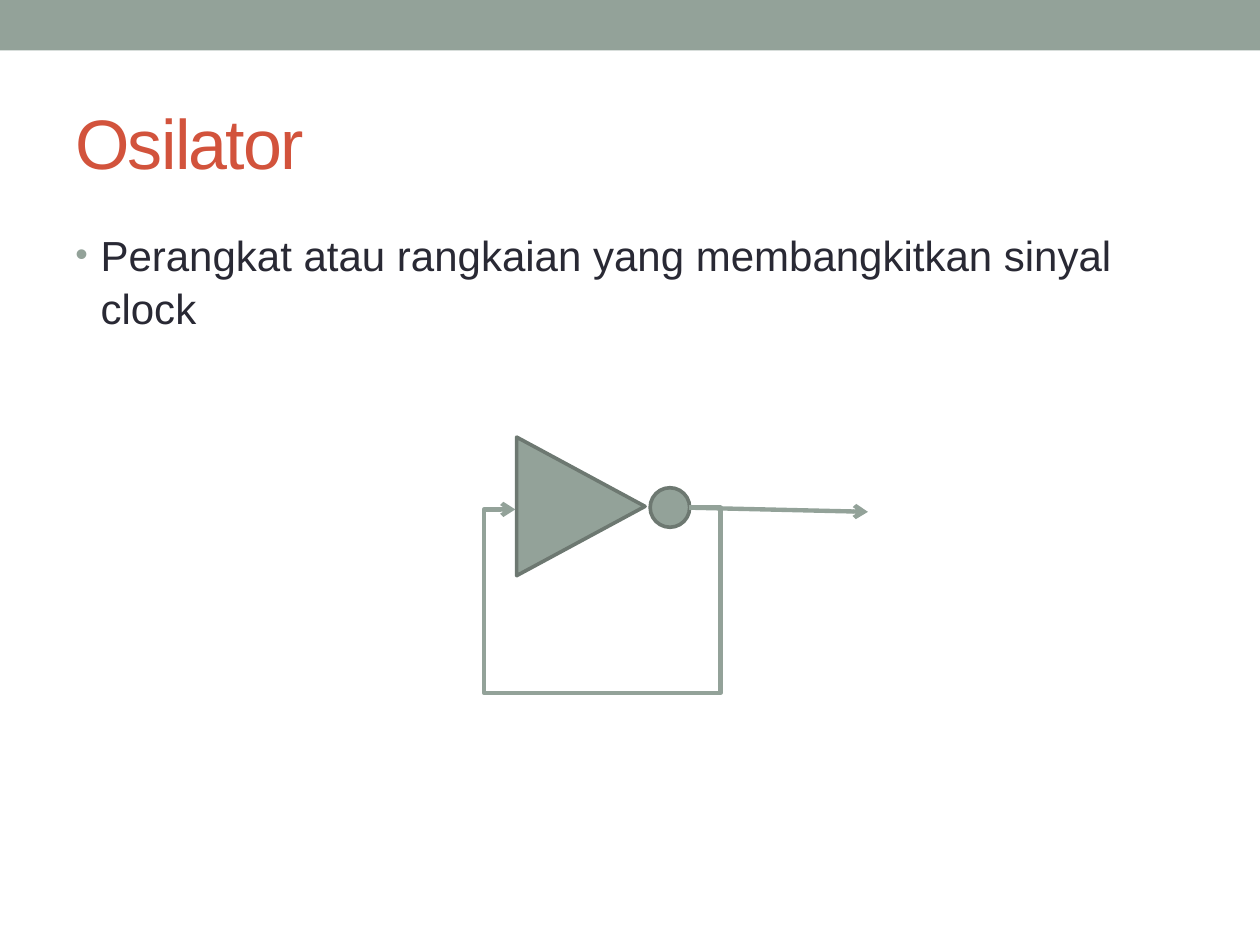
"""Build the oscillator slide: a NOT gate whose output feeds back to its input."""
from pptx import Presentation
from pptx.dml.color import RGBColor
from pptx.enum import shapes, text
from pptx.oxml import parse_xml
from pptx.oxml.ns import nsdecls
from pptx.util import Pt

SAGE, SAGE_DARK, RUST, INK = "93A299", "6D7871", "D2533C", "292934"
FONT = "Arial"
TITLE = ("Osilator", (36, 41.8, 648, 77.8), 40, RUST)
BODY = ("Perangkat atau rangkaian yang membangkitkan sinyal clock",
        (36, 126, 648, 126.7), 24, INK)
BAND = (0, 0, 720, 28.8)
GATE = (292.3, 252.7, 79.2, 73.4)
BUBBLE = (371.5, 278.7, 22.6, 22.6)
GATE_OUTPUT = (393.8, 290.1)
GATE_INPUT = (294.5, 291.1)
CLOCK_OUT = (496, 292.5)
FEEDBACK_BENDS = (-18100, 10660500, 118100)


def color(value):
    return RGBColor.from_string(value)


def add_solid(slide, preset, box, outline=None):
    solid = slide.shapes.add_shape(preset, *map(Pt, box))
    solid.shadow.inherit = False
    solid.fill.solid()
    solid.fill.fore_color.rgb = color(SAGE)
    if outline:
        solid.line.color.rgb = color(outline)
        solid.line.width = Pt(2.08)
    else:
        solid.line.fill.background()
    return solid


def add_wire(slide, route, start, end):
    wire = slide.shapes.add_connector(route, *map(Pt, start + end))
    wire.line.color.rgb = color(SAGE)
    wire.line.width = Pt(2.5)
    wire.line._get_or_add_ln().append(
        parse_xml(f'<a:tailEnd {nsdecls("a")} type="arrow"/>'))
    wire._element.spPr.append(parse_xml(f'<a:effectLst {nsdecls("a")}/>'))
    return wire


def add_words(slide, words, box, size, ink, anchor):
    frame = slide.shapes.add_textbox(*map(Pt, box)).text_frame
    frame.word_wrap = True
    frame.vertical_anchor = anchor
    frame.text = words
    run = frame.paragraphs[0].runs[0]
    run.font.name = FONT
    run.font.size = Pt(size)
    run.font.color.rgb = color(ink)
    return frame.paragraphs[0]


def add_bullet(paragraph):
    paragraph.line_spacing = 1.05
    props = paragraph._p.get_or_add_pPr()
    props.set("marL", str(Pt(14.4)))
    props.set("indent", str(Pt(-14.4)))
    for part in (f'<a:buClr {nsdecls("a")}><a:srgbClr val="{SAGE}"/></a:buClr>',
                 f'<a:buSzPct {nsdecls("a")} val="85000"/>',
                 f'<a:buFont {nsdecls("a")} typeface="{FONT}"/>',
                 f'<a:buChar {nsdecls("a")} char="•"/>'):
        props.append(parse_xml(part))


def bend(wire, bends):
    geometry = wire._element.spPr.prstGeom
    geometry.set("prst", "bentConnector5")
    guides = geometry.get_or_add_avLst()
    for number, value in enumerate(bends, 1):
        guides.append(parse_xml(
            f'<a:gd {nsdecls("a")} name="adj{number}" fmla="val {value}"/>'))


def main():
    deck = Presentation()
    deck.slide_width, deck.slide_height = Pt(720), Pt(540)
    slide = deck.slides.add_slide(deck.slide_layouts[6])
    preset, route = shapes.MSO_SHAPE, shapes.MSO_CONNECTOR

    add_solid(slide, preset.RECTANGLE, BAND)
    title = add_words(slide, *TITLE, text.MSO_ANCHOR.MIDDLE)
    title.runs[0].font._element.set("spc", "-100")
    add_bullet(add_words(slide, *BODY, text.MSO_ANCHOR.TOP))

    gate = add_solid(slide, preset.ISOSCELES_TRIANGLE, GATE, SAGE_DARK)
    gate.rotation = 90
    add_solid(slide, preset.OVAL, BUBBLE, SAGE_DARK)
    bend(add_wire(slide, route.ELBOW, GATE_OUTPUT, GATE_INPUT), FEEDBACK_BENDS)
    add_wire(slide, route.STRAIGHT, GATE_OUTPUT, CLOCK_OUT)
    deck.save("out.pptx")


if __name__ == "__main__":
    main()
